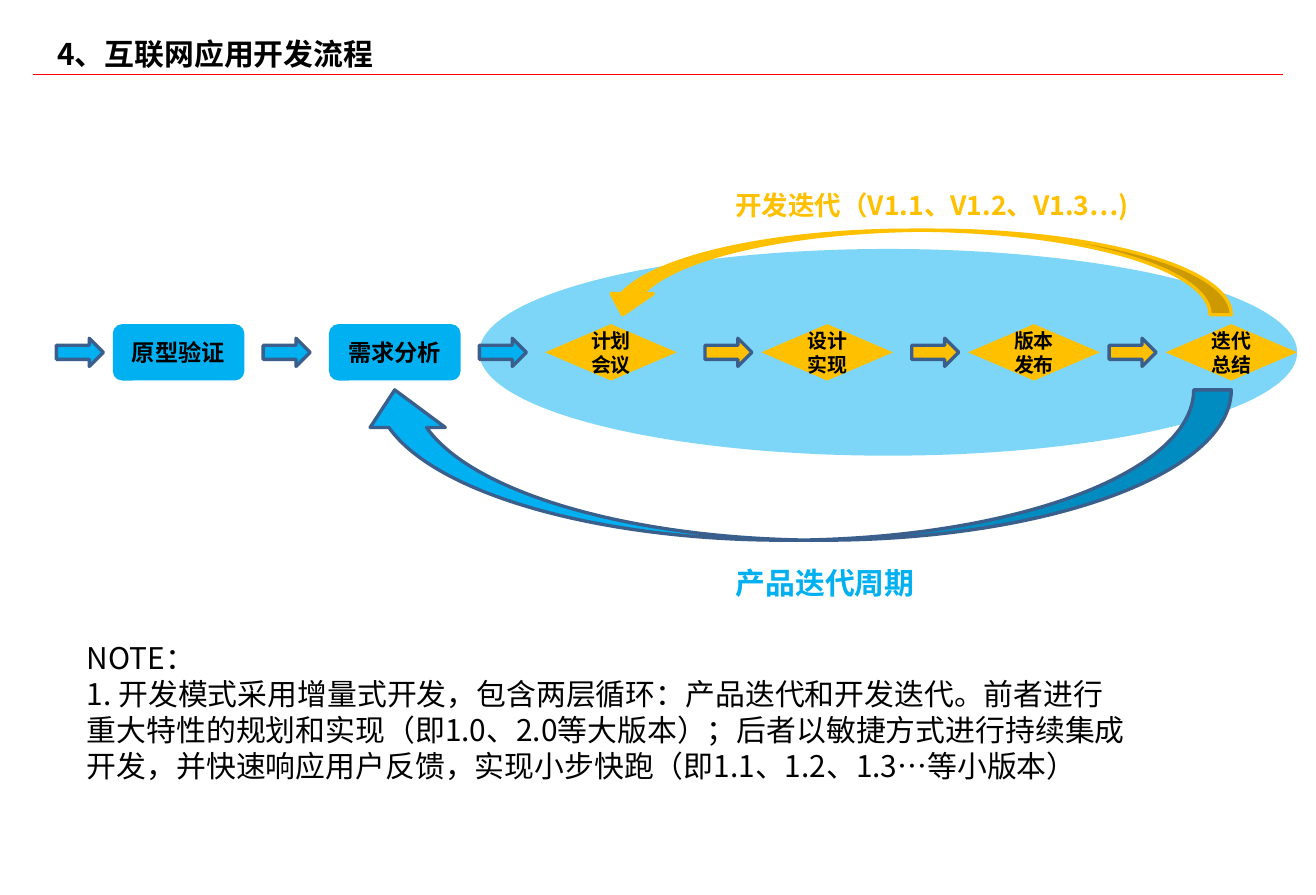
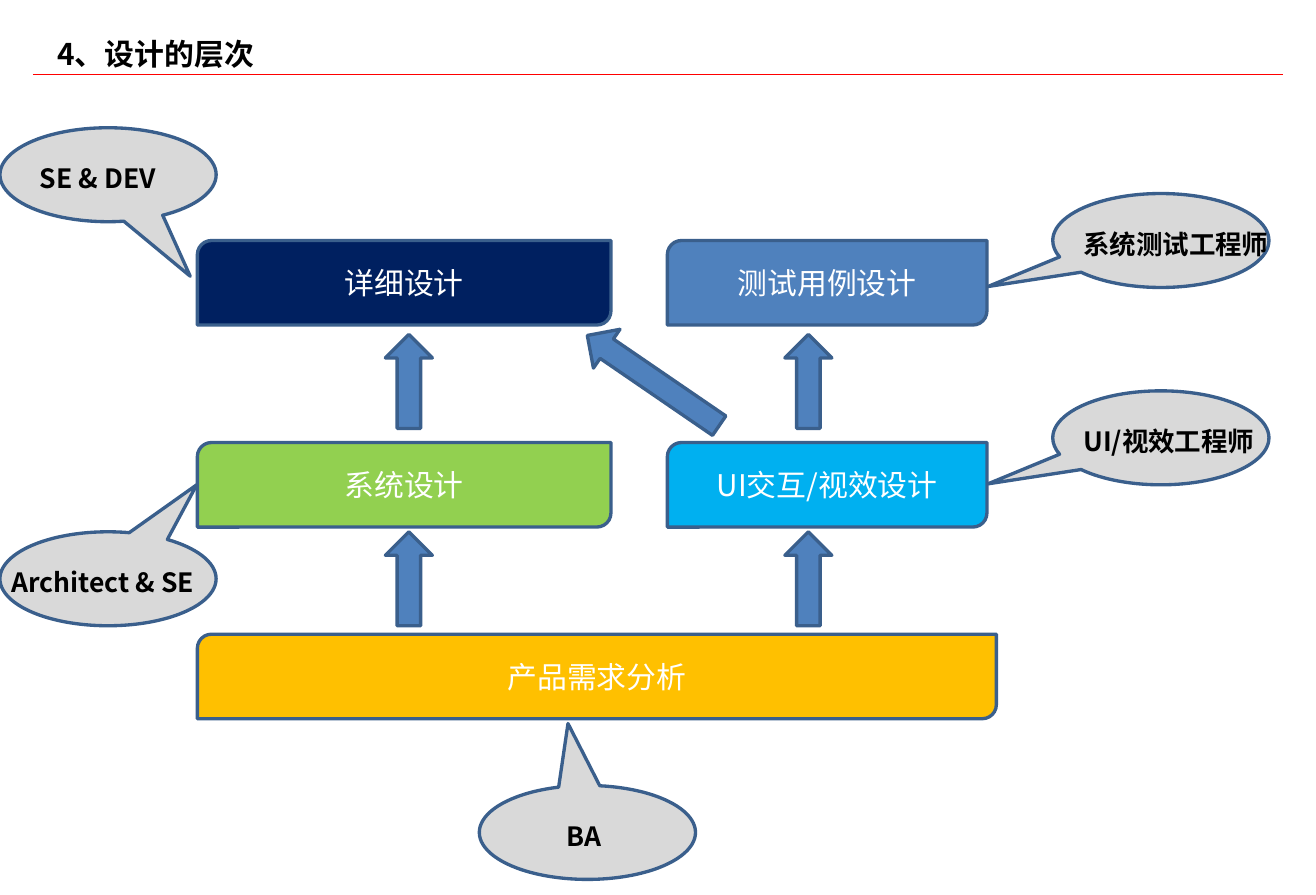
from lxml import etree
from pptx import Presentation
from pptx.dml.color import RGBColor
from pptx.enum.shapes import MSO_CONNECTOR, MSO_SHAPE
from pptx.enum.text import MSO_ANCHOR, PP_ALIGN
from pptx.oxml.ns import qn
from pptx.util import Cm, Pt

WIDTH, HEIGHT = 28, 19.05
COLUMNS = 140
UNIT = WIDTH / COLUMNS
FONT = "Noto Sans CJK SC"

BLACK, WHITE, RED = "000000", "FFFFFF", "FF0000"
SKY, AMBER, BLUE, OUTLINE = "00B0F0", "FFC000", "4F81BD", "3A5F8C"
GREEN, NAVY, GREY = "92D050", "002060", "D9D9D9"

STRAIGHT = MSO_CONNECTOR.STRAIGHT
ELLIPSE, ROUNDED = MSO_SHAPE.OVAL, MSO_SHAPE.ROUNDED_RECTANGLE
DIAMOND = MSO_SHAPE.FLOWCHART_DECISION
RIGHT_ARROW, UP_ARROW = MSO_SHAPE.RIGHT_ARROW, MSO_SHAPE.UP_ARROW
CURVED_ARROW = MSO_SHAPE.CURVED_DOWN_ARROW
LAYER = MSO_SHAPE.ROUND_2_DIAG_RECTANGLE
CALLOUT = MSO_SHAPE.OVAL_CALLOUT
TOP, MIDDLE = MSO_ANCHOR.TOP, MSO_ANCHOR.MIDDLE
LEFT, CENTER = PP_ALIGN.LEFT, PP_ALIGN.CENTER


def grid(*cells):
    return [Cm(cell * UNIT) for cell in cells]


def color(value):
    return RGBColor.from_string(value)


def write(box, text, size, ink=BLACK, bold=False, align=LEFT, anchor=TOP):
    frame = box.text_frame
    frame.text = text
    frame.word_wrap = True
    frame.vertical_anchor = anchor
    for para in frame.paragraphs:
        para.alignment = align
        for span in para.runs:
            span.font.name = FONT
            span.font.size = Pt(size)
            span.font.bold = bold
            span.font.color.rgb = color(ink)
            east_asian = etree.SubElement(span.font._element, qn("a:ea"))
            east_asian.set("typeface", FONT)


def add_label(page, place, text, size, ink=BLACK, bold=True):
    box = page.shapes.add_textbox(*grid(*place))
    write(box, text, size, ink, bold)


def add_figure(page, kind, place, fill, line=None):
    shape = page.shapes.add_shape(kind, *grid(*place))
    shape.shadow.inherit = False
    shape.fill.solid()
    shape.fill.fore_color.rgb = color(fill)
    if line:
        shape.line.color.rgb = color(line)
        shape.line.width = Pt(2)
    else:
        shape.line.fill.background()
    return shape


def add_step(page, kind, left, text, fill, size):
    shape = add_figure(page, kind, (left, 34.5, 14, 6), fill)
    write(shape, text, size, bold=True, align=CENTER, anchor=MIDDLE)


def add_loop(page, place, fill, line, flips):
    shape = add_figure(page, CURVED_ARROW, place, fill, line)
    for flip in flips:
        shape._element.spPr.find(qn("a:xfrm")).set(flip, "1")


def add_layer(page, left, top, width, text, fill):
    shape = add_figure(page, LAYER, (left, top, width, 9), fill, OUTLINE)
    write(shape, text, 18, WHITE, align=CENTER, anchor=MIDDLE)


def add_role(page, left, top, tip, indent, text):
    bubble = add_figure(page, CALLOUT, (left, top, 23, 10), GREY, OUTLINE)
    for index, share in enumerate(tip):
        bubble.adjustments[index] = share
    add_label(page, (left + indent, top + 3, 24, 4.7), text, 16)


def add_page(deck, title):
    page = deck.slides.add_slide(deck.slide_layouts[6])
    rule = page.shapes.add_connector(STRAIGHT, *grid(3.5, 7.85, 136.5, 7.85))
    rule.line.color.rgb = color(RED)
    rule.line.width = Pt(0.25)
    etree.SubElement(rule._element.spPr, qn("a:effectLst"))
    add_label(page, (4.85, 3.2, 55.6, 3.8), title, 18)
    return page


def build_process(deck):
    page = add_page(deck, "4、互联网应用开发流程")
    cycle = add_figure(page, ELLIPSE, (51, 26.5, 87, 22), SKY)
    solid = cycle._element.spPr.find(qn("a:solidFill"))
    etree.SubElement(solid[0], qn("a:alpha")).set("val", "51000")

    for left, text in ((12, "原型验证"), (35, "需求分析")):
        add_step(page, ROUNDED, left, text, SKY, 14)
    for left, text in ((58, "计划会议"), (81, "设计实现"),
                       (103, "版本发布"), (124, "迭代总结")):
        add_step(page, DIAMOND, left, text, AMBER, 12)
    for fill, lefts in ((SKY, (6, 28, 51)), (AMBER, (75, 97, 118))):
        for left in lefts:
            add_figure(page, RIGHT_ARROW, (left, 36, 5, 3), fill, OUTLINE)

    add_loop(page, (64, 24.5, 67, 9), AMBER, AMBER, ["flipH"])
    add_loop(page, (38, 41.5, 93, 16), SKY, OUTLINE, ["flipH", "flipV"])
    add_label(page, (77, 59.5, 22, 5), "产品迭代周期", 18, SKY)
    add_label(page, (77, 19.5, 56, 4.7), "开发迭代（V1.1、V1.2、V1.3…)", 16, AMBER)
    note = ("NOTE：\n1. 开发模式采用增量式开发，包含两层循环：产品迭代和开发迭代。"
            "前者进行重大特性的规划和实现（即1.0、2.0等大版本）；"
            "后者以敏捷方式进行持续集成开发，并快速响应用户反馈，"
            "实现小步快跑（即1.1、1.2、1.3…等小版本）")
    add_label(page, (8, 67.5, 113, 16.6), note, 18, bold=False)


def build_layers(deck):
    page = add_page(deck, "4、设计的层次")
    for layer in ((21, 67.5, 85, "产品需求分析", AMBER),
                  (21, 47.1, 44, "系统设计", GREEN),
                  (21, 25.6, 44, "详细设计", NAVY),
                  (71, 25.6, 34, "测试用例设计", BLUE),
                  (71, 47.1, 34, "UI交互/视效设计", SKY)):
        add_layer(page, *layer)

    for left in (41, 83.5):
        for top in (35.6, 56.6):
            add_figure(page, UP_ARROW, (left, top, 5, 10), BLUE, OUTLINE)
    slanted = add_figure(page, UP_ARROW, (67, 32, 5, 17), BLUE, OUTLINE)
    slanted.rotation = 304.4

    for role in ((112, 41.6, (-0.8, 0.49), 2, "UI/视效工程师"),
                 (112, 20.6, (-0.8, 0.49), 2, "系统测试工程师"),
                 (51, 83.6, (-0.09, -1.16), 8, "BA"),
                 (0, 56.6, (0.41, -1), 0, "Architect & SE"),
                 (0, 13.6, (0.38, 1.08), 3, "SE & DEV")):
        add_role(page, *role)


def main():
    deck = Presentation()
    deck.slide_width = Cm(WIDTH)
    deck.slide_height = Cm(HEIGHT)
    build_process(deck)
    build_layers(deck)
    deck.save("out.pptx")


if __name__ == "__main__":
    main()
